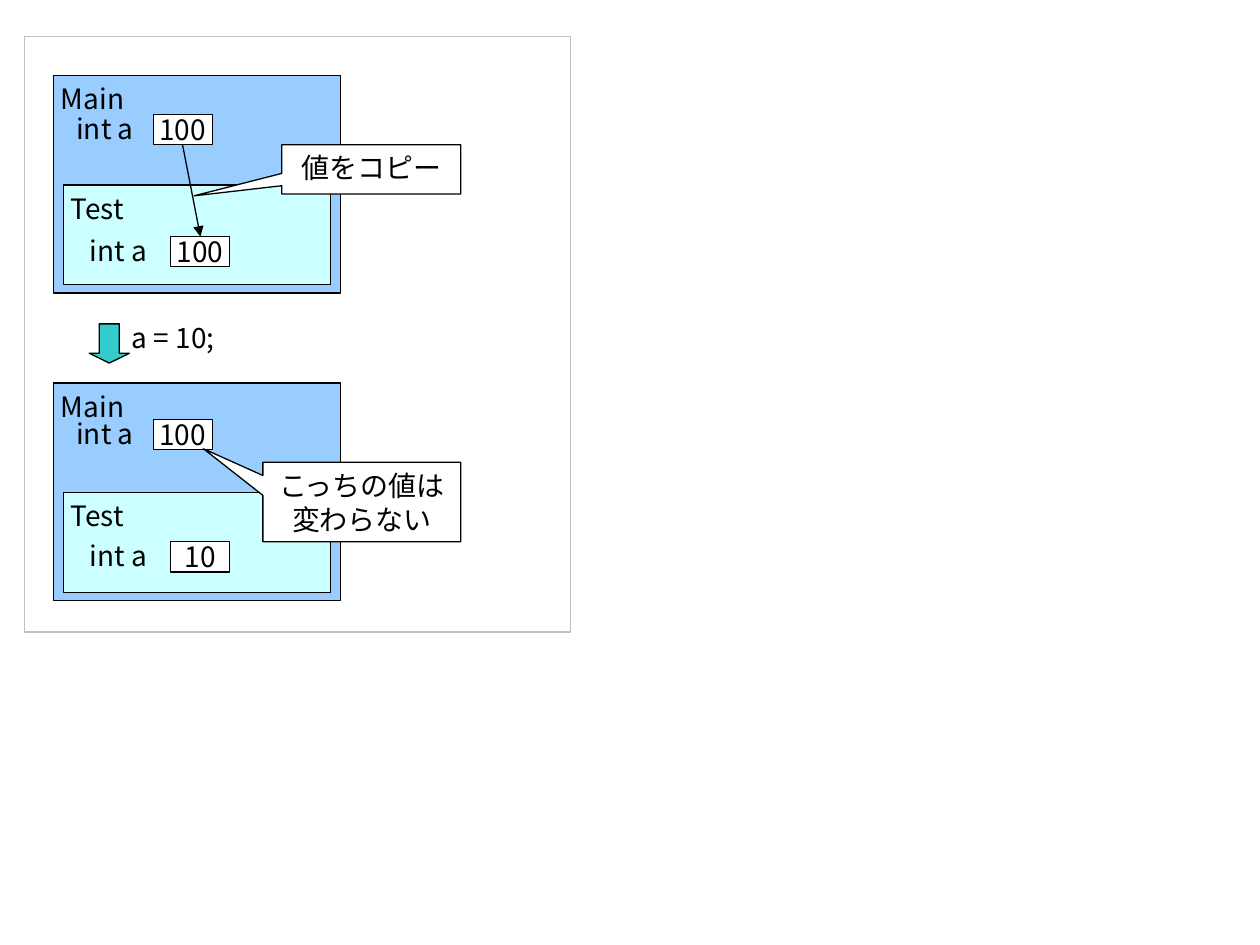
import pptx
import pptx.util
import pptx.dml.color
import pptx.enum.shapes
import pptx.enum.text
import pptx.oxml.ns
import lxml.etree

Cm = pptx.util.Cm
SHAPES = pptx.enum.shapes.MSO_SHAPE
ANCHOR = pptx.enum.text.MSO_ANCHOR
ALIGN = pptx.enum.text.PP_ALIGN
COLORS = {"border": "C0C0C0", "main": "99CCFF", "test": "CCFFFF", "white": "FFFFFF",
          "arrow": "33CCCC", "black": "000000"}
FONT = "Noto Sans CJK JP"
LINE_WIDTH = pptx.util.Pt(0.74)


def color(name):
    return pptx.dml.color.RGBColor.from_string(COLORS[name])


def write(shape, text, font=FONT, align=ALIGN.LEFT, anchor=ANCHOR.TOP, wrap=False):
    frame = shape.text_frame
    frame.word_wrap = wrap
    frame.vertical_anchor = anchor
    paragraph = frame.paragraphs[0]
    paragraph.alignment = align
    run = paragraph.add_run()
    run.text = text
    run.font.size = pptx.util.Pt(16)
    run.font.name = font
    run.font.color.rgb = color("black")
    east_asian = lxml.etree.SubElement(run.font._element, pptx.oxml.ns.qn("a:ea"))
    east_asian.set("typeface", FONT)


def add_box(slide, box, fill=None, line="black", kind=SHAPES.RECTANGLE):
    shape = slide.shapes.add_shape(kind, *map(Cm, box))
    shape.shadow.inherit = False
    if fill:
        shape.fill.solid()
        shape.fill.fore_color.rgb = color(fill)
    else:
        shape.fill.background()
    shape.line.color.rgb = color(line)
    shape.line.width = LINE_WIDTH
    return shape


def add_label(slide, left, top, width, text):
    label = slide.shapes.add_textbox(Cm(left), Cm(top), Cm(width), Cm(0.94))
    write(label, text)
    label.text_frame.auto_size = pptx.enum.text.MSO_AUTO_SIZE.SHAPE_TO_FIT_TEXT


def add_variable(slide, left, top, value, label_gap):
    box = add_box(slide, (left, top, 1.19, 0.61), "white")
    write(box, value, align=ALIGN.CENTER, anchor=ANCHOR.MIDDLE)
    add_label(slide, left - label_gap, top - 0.18, 1.9, "int a")


def add_state(slide, box, test_value, main_drop, test_drop):
    left, top, width, height = box
    test_left, test_top = left + 0.2, top + 2.21
    add_box(slide, box, "main")
    add_box(slide, (test_left, test_top, width - 0.41, height - 2.38), "test")
    add_label(slide, left - 0.1, top, 1.85, "Main")
    add_label(slide, test_left - 0.1, test_top, 1.85, "Test")
    add_variable(slide, left + 2.01, top + main_drop, "100", 1.8)
    add_variable(slide, left + 2.36, top + test_drop, test_value, 1.88)


def add_copy_arrow(slide, start, end):
    connector = slide.shapes.add_connector(
        pptx.enum.shapes.MSO_CONNECTOR.STRAIGHT, *map(Cm, start + end))
    connector.line.color.rgb = color("black")
    connector.line.width = LINE_WIDTH
    line = connector.line._get_or_add_ln()
    lxml.etree.SubElement(line, pptx.oxml.ns.qn("a:tailEnd")).set("type", "triangle")
    lxml.etree.SubElement(connector._element.spPr, pptx.oxml.ns.qn("a:effectLst"))


def add_callout(slide, box, text, tip):
    callout = add_box(slide, box, "white", kind=SHAPES.RECTANGULAR_CALLOUT)
    for index, offset in enumerate(tip):
        callout.adjustments[index] = offset
    write(callout, text, font="Arial", align=ALIGN.CENTER, wrap=True)


def add_step(slide, box, text):
    left, top, width, height = box
    add_box(slide, box, "arrow", kind=SHAPES.DOWN_ARROW).adjustments[1] = 0.25
    add_label(slide, left + 0.61, top - 0.2, 2.87, text)


def build_diagram(slide, box):
    left, top, width, height = box
    state_left, before_top, after_top = left + 0.58, top + 0.78, top + 6.98
    add_box(slide, box, line="border")
    add_state(slide, (state_left, before_top, 5.79, 4.39), "100", 0.79, 3.25)
    add_copy_arrow(slide, (state_left + 2.6, before_top + 1.4),
                   (state_left + 2.96, before_top + 3.25))
    add_callout(slide, (left + 5.18, top + 2.18, 3.61, 0.99), "値をコピー", (-0.99, 0.54))
    add_step(slide, (left + 1.3, top + 5.79, 0.81, 0.79), "a = 10;")
    add_state(slide, (state_left, after_top, 5.79, 4.39), "10", 0.74, 3.2)
    add_callout(slide, (left + 4.8, top + 8.58, 3.99, 1.6), "こっちの値は変わらない", (-0.8, -0.67))


presentation = pptx.Presentation()
presentation.slide_width = Cm(25.4)
presentation.slide_height = Cm(19.05)
slide = presentation.slides.add_slide(presentation.slide_layouts[6])
build_diagram(slide, (0.5, 0.74, 11, 12))
presentation.save("out.pptx")
